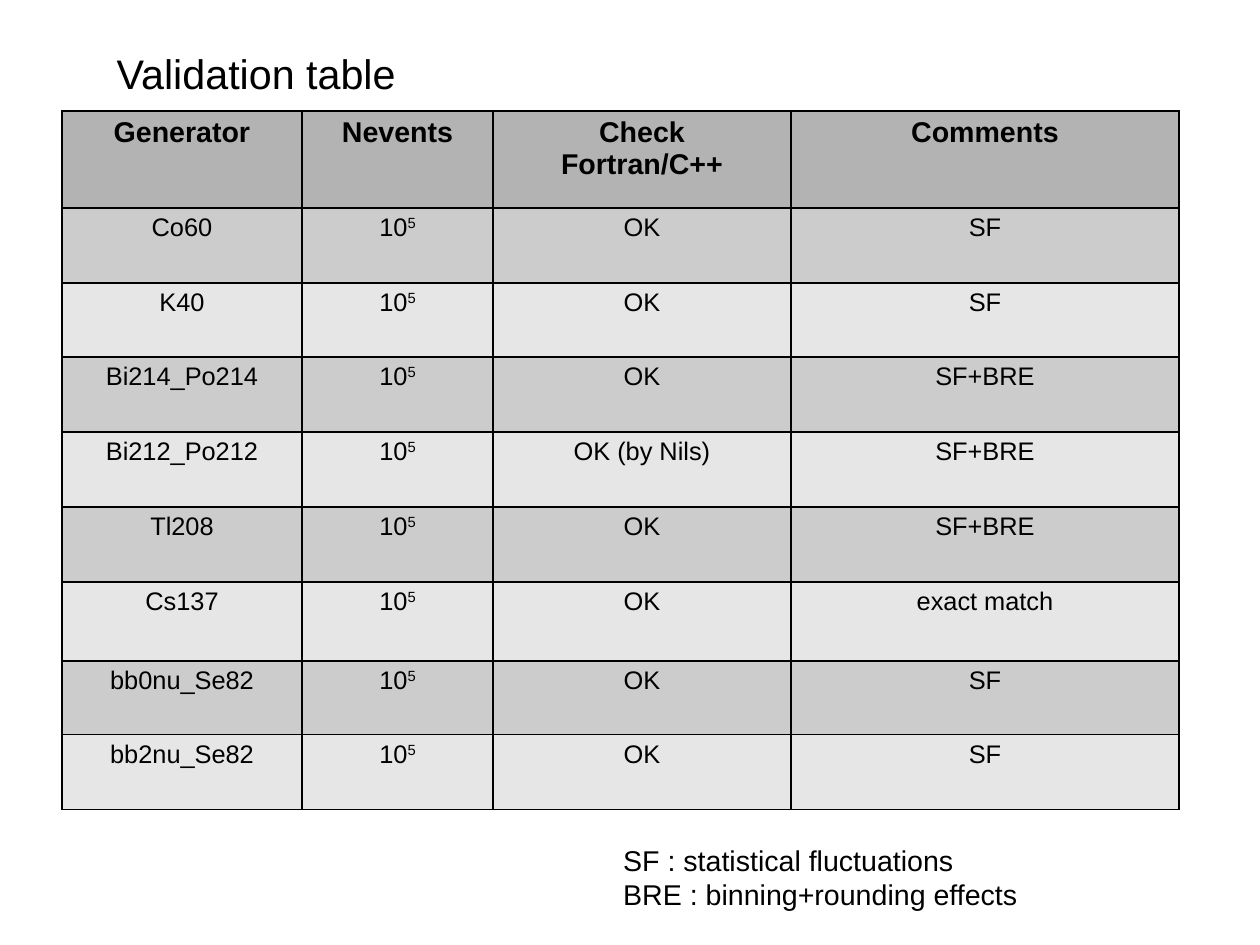
import pptx
import pptx.dml.color
import pptx.enum.text
import pptx.util

SCALE = 8000
FONT = "Arial"
BLACK = "000000"
HEADER_FILL = "B3B3B3"
BAND_FILLS = ["CCCCCC", "E6E6E6"]
COLUMN_WIDTHS = [240, 191, 298, 388]
ROW_HEIGHTS = [97, 75, 74, 75, 75, 75, 79, 74, 75]
HEADERS = ["Generator", "Nevents", "Check\nFortran/C++", "Comments"]
CHECKS = [
    ("Co60", "OK", "SF"),
    ("K40", "OK", "SF"),
    ("Bi214_Po214", "OK", "SF+BRE"),
    ("Bi212_Po212", "OK (by Nils)", "SF+BRE"),
    ("Tl208", "OK", "SF+BRE"),
    ("Cs137", "OK", "exact match"),
    ("bb0nu_Se82", "OK", "SF"),
    ("bb2nu_Se82", "OK", "SF"),
]
CENTER = pptx.enum.text.PP_ALIGN.CENTER
LEFT = pptx.enum.text.PP_ALIGN.LEFT


def px(length):
    return pptx.util.Emu(length * SCALE)


def color(code):
    return pptx.dml.color.RGBColor.from_string(code)


def add_run(paragraph, text, size, bold=False, superscript=False):
    run = paragraph.add_run()
    run.text = text
    run.font.name = FONT
    run.font.size = pptx.util.Pt(size)
    run.font.bold = bold
    run.font.color.rgb = color(BLACK)
    if superscript:
        run._r.get_or_add_rPr().set("baseline", "33000")


def write_lines(text_frame, text, size, alignment, bold=False):
    for index, line in enumerate(text.split("\n")):
        paragraph = text_frame.add_paragraph() if index else text_frame.paragraphs[0]
        paragraph.alignment = alignment
        base, _, exponent = line.partition("^")
        add_run(paragraph, base, size, bold)
        if exponent:
            add_run(paragraph, exponent, size, bold, superscript=True)


def add_text(slide, left, top, width, height, text, size, alignment):
    text_frame = slide.shapes.add_textbox(px(left), px(top), px(width), px(height)).text_frame
    text_frame.word_wrap = True
    write_lines(text_frame, text, size, alignment)
    return text_frame


def add_title(slide):
    text_frame = add_text(slide, 63, 38, 387, 71, "Validation table", 26, CENTER)
    text_frame.vertical_anchor = pptx.enum.text.MSO_ANCHOR.MIDDLE
    text_frame.margin_left = text_frame.margin_right = 0
    text_frame.margin_top = text_frame.margin_bottom = 0


def fill_row(table, row, texts, size, fill, bold=False):
    for column, text in enumerate(texts):
        cell = table.cell(row, column)
        cell.fill.solid()
        cell.fill.fore_color.rgb = color(fill)
        write_lines(cell.text_frame, text, size, CENTER, bold)


def add_validation_table(slide):
    table = slide.shapes.add_table(
        len(ROW_HEIGHTS), len(COLUMN_WIDTHS), px(62), px(111),
        px(sum(COLUMN_WIDTHS)), px(sum(ROW_HEIGHTS)),
    ).table
    table._tbl.tblPr.remove(table._tbl.tblPr[0])
    for column, width in zip(table.columns, COLUMN_WIDTHS):
        column.width = px(width)
    for row, height in zip(table.rows, ROW_HEIGHTS):
        row.height = px(height)
    fill_row(table, 0, HEADERS, 18, HEADER_FILL, bold=True)
    for index, (generator, check, comment) in enumerate(CHECKS):
        texts = [generator, "10^5", check, comment]
        fill_row(table, index + 1, texts, 16, BAND_FILLS[index % 2])


def main():
    presentation = pptx.Presentation()
    presentation.slide_width = px(1260)
    presentation.slide_height = px(945)
    slide = presentation.slides.add_slide(presentation.slide_layouts[6])
    add_title(slide)
    add_validation_table(slide)
    legend = "SF : statistical fluctuations\nBRE : binning+rounding effects"
    add_text(slide, 612, 837, 621, 99, legend, 18, LEFT)
    presentation.save("out.pptx")


if __name__ == "__main__":
    main()
